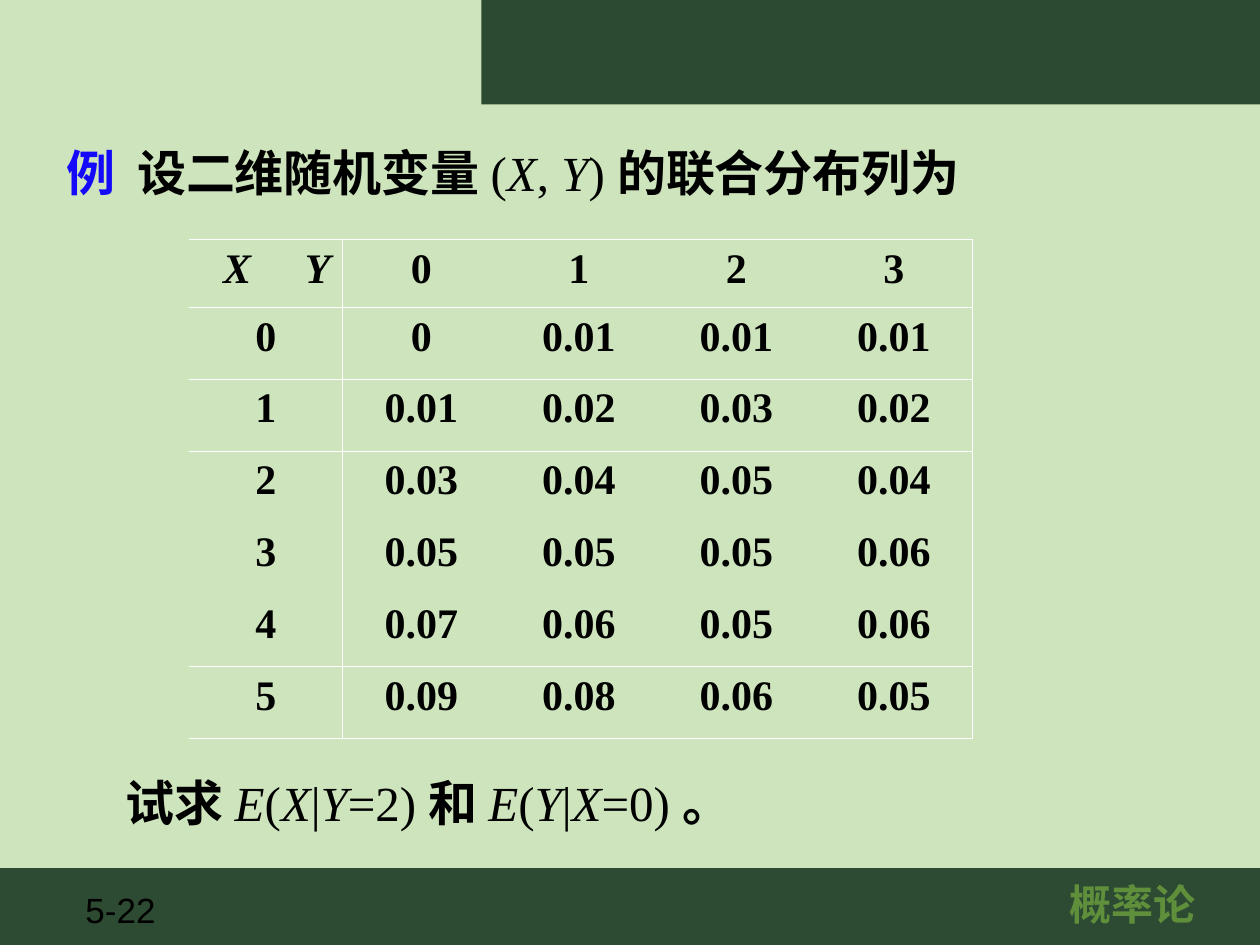
import pptx
import pptx.util
import pptx.dml.color
import pptx.enum.shapes
import pptx.enum.text
import pptx.oxml
import pptx.oxml.ns
import lxml.etree

Inches, Pt = pptx.util.Inches, pptx.util.Pt
CENTER = pptx.enum.text.PP_ALIGN.CENTER

THEME = {
    "bg": "CDE4BC", "header": "2C4A32", "footer": "2D4B33", "text": "000000",
    "label": "1409F9", "course": "5F8F3B", "rule": "FFFFFF",
    "serif": "Times New Roman", "sans": "Arial",
    "body_size": 28, "table_size": 24, "course_size": 24, "page_size": 20,
    "thick": 1.08, "thin": 0.45,
}

# Content: runs are (text, format overrides)
BOLD, ITALIC = {"bold": True}, {"italic": True}
QUESTION = [("例", {"bold": True, "color": THEME["label"]}),
            ("\t设二维随机变量 ", BOLD), ("(", {}), ("X", ITALIC), (", ", {}),
            ("Y", ITALIC), (") ", {}), ("的联合分布列为", BOLD)]
TASK = [("试求 ", BOLD),
        ("E", ITALIC), ("(", {}), ("X", ITALIC), ("|", {}), ("Y", ITALIC), ("=2) ", {}),
        ("和 ", BOLD),
        ("E", ITALIC), ("(", {}), ("Y", ITALIC), ("|", {}), ("X", ITALIC), ("=0) ", {}),
        ("。", BOLD)]
JOINT = [
    ["\tX\tY", "0", "1", "2", "3"],
    ["0", "0", "0.01", "0.01", "0.01"],
    ["1", "0.01", "0.02", "0.03", "0.02"],
    ["2", "0.03", "0.04", "0.05", "0.04"],
    ["3", "0.05", "0.05", "0.05", "0.06"],
    ["4", "0.07", "0.06", "0.05", "0.06"],
    ["5", "0.09", "0.08", "0.06", "0.05"],
]
RULED_ROWS = {0, 1, 2, 5, 6}    # rows with a line below
RULED_COLS = {0, 4}             # columns with a line to the right
COL_WIDTHS = [1.22] + [1.25] * 4
ROW_HEIGHTS = [0.54] + [0.57] * 6


def rgb(value):
    return pptx.dml.color.RGBColor.from_string(value)


def write(tf, text, size=THEME["body_size"], font=THEME["serif"], color=THEME["text"],
          bold=False, italic=False, align=None, tabs=()):
    """Fill a text frame with a string or a list of (text, overrides) runs."""
    p = tf.paragraphs[0]
    if align is not None:
        p.alignment = align
    if tabs:
        tab_list = lxml.etree.SubElement(p._p.get_or_add_pPr(), pptx.oxml.ns.qn("a:tabLst"))
        for stop in tabs:
            lxml.etree.SubElement(tab_list, pptx.oxml.ns.qn("a:tab"),
                                  pos=str(Inches(stop)), algn="l")
    for part, extra in ([(text, {})] if isinstance(text, str) else text):
        r = p.add_run()
        r.text = part
        r.font.size, r.font.name = Pt(size), font
        r.font.bold = extra.get("bold", bold)
        r.font.italic = extra.get("italic", italic)
        r.font.color.rgb = rgb(extra.get("color", color))


def text_box(s, box, text, **fmt):
    tf = s.shapes.add_textbox(*map(Inches, box)).text_frame
    tf.word_wrap = True
    write(tf, text, **fmt)


def band(s, box, color):
    sp = s.shapes.add_shape(pptx.enum.shapes.MSO_SHAPE.RECTANGLE, *map(Inches, box))
    sp.shadow.inherit = False
    sp.fill.solid()
    sp.fill.fore_color.rgb = rgb(color)
    sp.line.fill.background()


def border(cell, side, width):
    """Draw one cell edge; a width of 0 leaves it blank."""
    paint = (f'<a:solidFill><a:srgbClr val="{THEME["rule"]}"/></a:solidFill>'
             if width else "<a:noFill/>")
    cell._tc.get_or_add_tcPr().append(pptx.oxml.parse_xml(
        f'<a:ln{side} {pptx.oxml.ns.nsdecls("a")} w="{Pt(width)}">{paint}</a:ln{side}>'))


def joint_table(s, left, top):
    table = s.shapes.add_table(len(JOINT), len(JOINT[0]), Inches(left), Inches(top),
                               Inches(sum(COL_WIDTHS)), Inches(sum(ROW_HEIGHTS))).table
    table.first_row = table.horz_banding = False
    for col, width in zip(table.columns, COL_WIDTHS):
        col.width = Inches(width)
    for row, height in zip(table.rows, ROW_HEIGHTS):
        row.height = Inches(height)
    # Room for both variable names on one line
    table.cell(0, 0).margin_right = 0
    thin = THEME["thin"]
    for i, values in enumerate(JOINT):
        for j, value in enumerate(values):
            cell = table.cell(i, j)
            corner = i == j == 0
            write(cell.text_frame, value, size=THEME["table_size"], bold=True, italic=corner,
                  align=None if corner else CENTER, tabs=(0.17, 0.82) if corner else ())
            above = thin if i - 1 in RULED_ROWS else 0
            border(cell, "L", thin if j - 1 in RULED_COLS else 0)
            border(cell, "R", thin if j in RULED_COLS else 0)
            border(cell, "T", THEME["thick"] if i == 0 else above)
            border(cell, "B", thin if i in RULED_ROWS else 0)
            cell.fill.background()


def main():
    prs = pptx.Presentation()
    prs.slide_width, prs.slide_height = Inches(10), Inches(7.5)
    s = prs.slides.add_slide(prs.slide_layouts[6])
    s.background.fill.solid()
    s.background.fill.fore_color.rgb = rgb(THEME["bg"])

    # Footer and header bands
    band(s, (0, 6.89, 10, 0.61), THEME["footer"])
    text_box(s, (0.58, 7, 0.78, 0.43), "5-22", size=THEME["page_size"], font=THEME["sans"])
    text_box(s, (7.44, 6.92, 3.09, 0.5), "概率论", size=THEME["course_size"],
             font=THEME["sans"], color=THEME["course"], bold=True, align=CENTER)
    band(s, (3.82, 0, 6.18, 0.83), THEME["header"])

    # Problem statement, joint distribution and task
    text_box(s, (0.43, 1.08, 8.11, 0.57), QUESTION, tabs=(0.56,))
    joint_table(s, 1.5, 1.9)
    text_box(s, (0.9, 6.08, 7.64, 0.57), TASK)

    prs.save("out.pptx")


if __name__ == "__main__":
    main()
